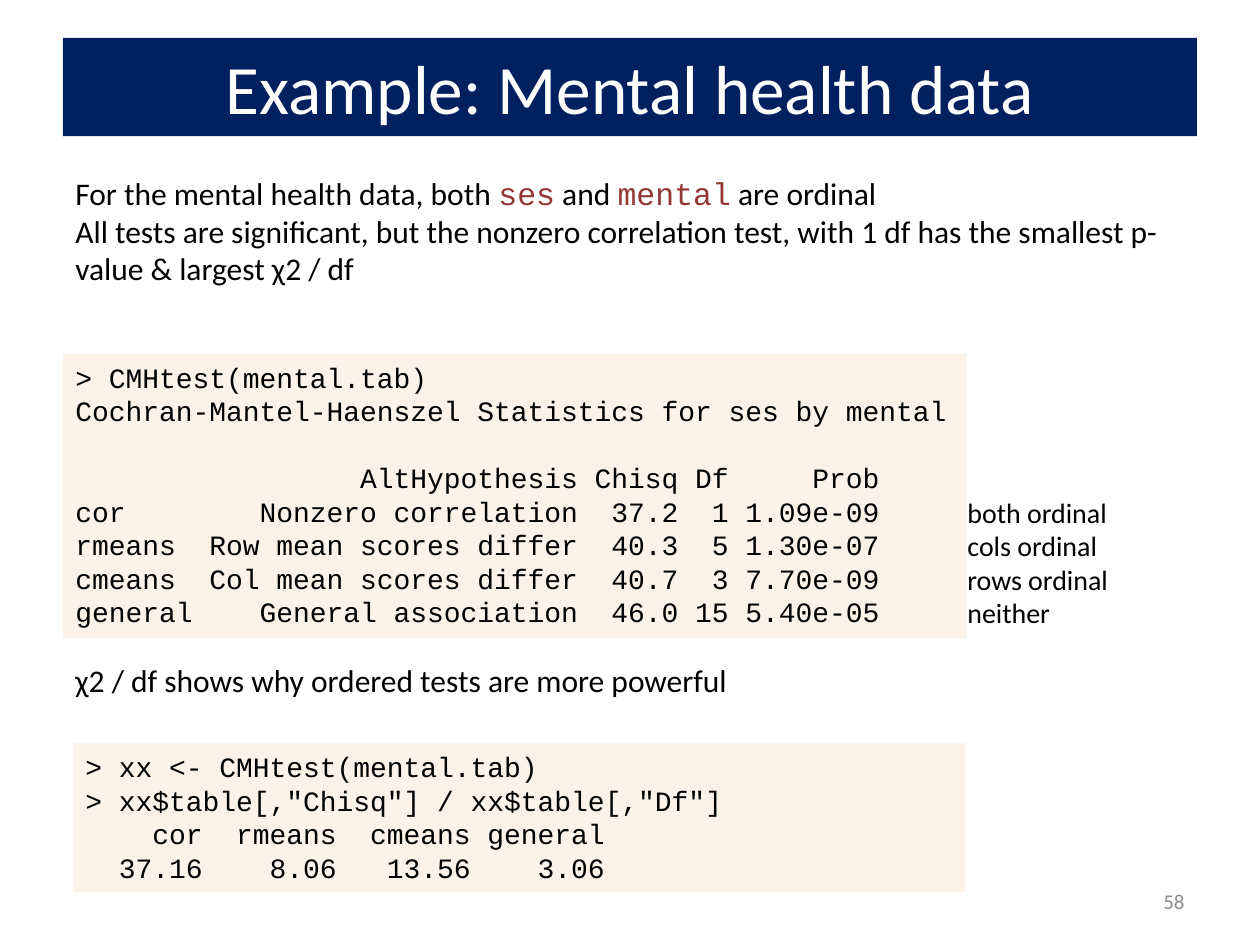
from pptx import Presentation
from pptx.dml.color import RGBColor
from pptx.enum.shapes import MSO_SHAPE
from pptx.enum.text import MSO_ANCHOR, PP_ALIGN
from pptx.oxml.ns import qn
from pptx.util import Pt
from lxml import etree

RECTANGLE = MSO_SHAPE.RECTANGLE
TOP, MIDDLE = MSO_ANCHOR.TOP, MSO_ANCHOR.MIDDLE
LEFT, CENTER, RIGHT = PP_ALIGN.LEFT, PP_ALIGN.CENTER, PP_ALIGN.RIGHT
EMU_PER_PX = 9144
BODY, MONO = "Calibri", "Courier New"
BLACK, WHITE, GRAY = "000000", "FFFFFF", "8C8C8C"
NAVY, RED, CREAM = "002060", "953735", "FDEADA"


def px(length):
    return length * EMU_PER_PX


def color(value):
    return RGBColor.from_string(value)


class SlideBuilder:
    """Draws text, code panels and a title bar on one slide."""

    def __init__(self, slide):
        self.slide = slide

    def fill_text(self, shape, lines, size, font=BODY, ink=BLACK, align=LEFT, anchor=TOP):
        frame = shape.text_frame
        frame.word_wrap = True
        frame.vertical_anchor = anchor
        for index, line in enumerate(lines):
            paragraph = frame.paragraphs[0] if index == 0 else frame.add_paragraph()
            paragraph.alignment = align
            paragraph.font.size = Pt(size)
            paragraph.font.name = font
            paragraph.font.color.rgb = color(ink)
            for position, part in enumerate(line.split("`")):
                run = paragraph.add_run()
                run.text = part
                if position % 2:
                    run.font.name = MONO
                    run.font.color.rgb = color(RED)
        return frame

    def text(self, box, lines, size, **style):
        shape = self.slide.shapes.add_textbox(*map(px, box))
        return self.fill_text(shape, lines, size, **style)

    def panel(self, box, fill):
        shape = self.slide.shapes.add_shape(RECTANGLE, *map(px, box))
        shape.shadow.inherit = False
        shape.fill.solid()
        shape.fill.fore_color.rgb = color(fill)
        shape.line.fill.background()
        return shape

    def title(self, box, words):
        shape = self.panel(box, NAVY)
        self.fill_text(shape, [words], 39.6, ink=WHITE, align=CENTER, anchor=MIDDLE)

    def code(self, box, lines, opacity=60):
        shape = self.panel(box, CREAM)
        fill = shape.fill._xPr.find(qn("a:solidFill"))
        etree.SubElement(fill[0], qn("a:alpha"), val=str(opacity * 1000))
        return self.fill_text(shape, lines, 16, font=MONO)


def main():
    presentation = Presentation()
    presentation.slide_width, presentation.slide_height = px(1000), px(750)
    slide = presentation.slides.add_slide(presentation.slide_layouts[6])
    builder = SlideBuilder(slide)

    builder.title((50, 30, 900, 78), "Example: Mental health data")
    builder.text((717, 695, 233, 40), ["58"], 12, ink=GRAY, align=RIGHT, anchor=MIDDLE)
    builder.text((50, 133, 900, 101), [
        "For the mental health data, both `ses` and `mental` are ordinal",
        "All tests are significant, but the nonzero correlation test, "
        "with 1 df has the smallest p-value & largest χ2 / df",
    ], 18)
    builder.text((50, 520, 900, 40), ["χ2 / df shows why ordered tests are more powerful"], 18)

    builder.code((58, 590, 708, 118), [
        "> xx <- CMHtest(mental.tab)",
        '> xx$table[,"Chisq"] / xx$table[,"Df"]',
        "    cor  rmeans  cmeans general",
        "  37.16    8.06   13.56    3.06",
    ])
    results = builder.code((50, 281, 717, 226), [
        "> CMHtest(mental.tab)",
        "Cochran-Mantel-Haenszel Statistics for ses by mental",
        "                 AltHypothesis Chisq Df     Prob",
        "cor        Nonzero correlation  37.2  1 1.09e-09",
        "rmeans  Row mean scores differ  40.3  5 1.30e-07",
        "cmeans  Col mean scores differ  40.7  3 7.70e-09",
        "general    General association  46.0 15 5.40e-05",
    ])
    results.paragraphs[2].space_before = Pt(19)
    builder.text((758, 388, 192, 118),
                 ["both ordinal", "cols ordinal", "rows ordinal", "neither"], 16)

    presentation.save("out.pptx")


if __name__ == "__main__":
    main()
